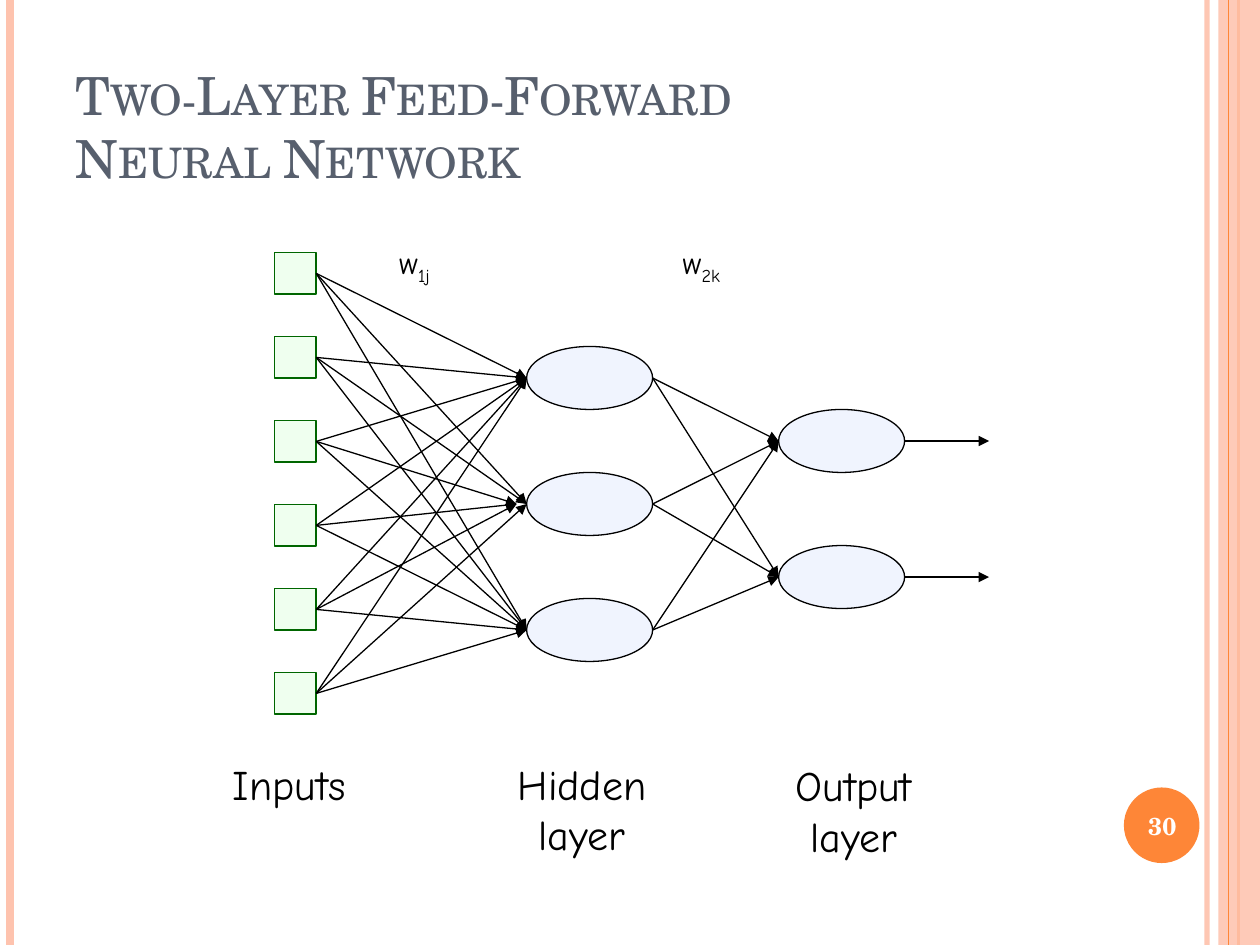
from itertools import product
from lxml.etree import SubElement as Sub
from pptx import Presentation
from pptx.dml.color import RGBColor as RGB
from pptx.enum.shapes import MSO_CONNECTOR as Link, MSO_SHAPE as Kind
from pptx.enum.text import MSO_ANCHOR as Anchor, PP_ALIGN as Align
from pptx.oxml.ns import qn
from pptx.util import Inches, Pt

BLACK = RGB(0, 0, 0)
WHITE = RGB(0xFF, 0xFF, 0xFF)
SLATE = RGB(0x57, 0x5F, 0x6D)
PEACH = RGB(0xFE, 0xC3, 0xAE)
ORANGE = RGB(0xFE, 0x86, 0x37)
MINT = RGB(0xEF, 0xFF, 0xEF)
GREEN = RGB(0, 0x66, 0)
PALE = RGB(0xF0, 0xF4, 0xFE)

TITLE = "Two-Layer Feed-Forward \vNeural Network"
NUMBER = "30"
LABELS = [
    ("Inputs", (1.75, 5.97, 1.23, 0.5), Align.LEFT),
    ("Hidden\nlayer", (3.97, 5.97, 1.3, 0.9), Align.CENTER),
    ("Output\nlayer", (6.12, 5.98, 1.31, 0.9), Align.CENTER),
]
WEIGHTS = [("w", "1j", (3.07, 1.88, 0.52, 0.4)), ("w", "2k", (5.32, 1.88, 0.57, 0.4))]
RULES = [(9.58, PEACH, 3, 93), (0.08, PEACH, 4.5, 100), (9.83, ORANGE, 1.5, 100)]
EDGE = (9.75, ORANGE, 0.75, 100)

INPUT = {"x": 2.18, "w": 0.33, "h": 0.33, "mids": [2.17 + i * 2 / 3 for i in range(6)]}
HIDDEN = {"x": 4.18, "w": 1, "h": 0.5, "mids": [3, 4, 5]}
OUTPUT = {"x": 6.18, "w": 1, "h": 0.5, "mids": [3.5, 4.58]}
SHORT = {(2, 1), (3, 1), (4, 1)}
SANS = {"name": "Comic Neue", "size": Pt(24)}
SERIF = {"name": "TeX Gyre Schola"}

deck = Presentation()
deck.slide_width, deck.slide_height = Inches(10), Inches(7.5)
slide = deck.slides.add_slide(deck.slide_layouts[6])
shapes = slide.shapes


def fade(part, alpha):
    if alpha < 100:
        color = next(part.iter(qn("a:srgbClr")))
        Sub(color, qn("a:alpha"), val=str(alpha * 1000))


def draw(kind, box, fill, edge=None, alpha=100):
    shape = shapes.add_shape(kind, *map(Inches, box))
    shape.shadow.inherit = False
    shape.fill.solid()
    shape.fill.fore_color.rgb = fill
    fade(shape.fill._xPr, alpha)
    if edge is None:
        shape.line.fill.background()
    else:
        shape.line.color.rgb = edge
        shape.line.width = Pt(0.75)


def join(start, end, color=BLACK, width=0.75, alpha=100, arrow=False):
    line = shapes.add_connector(Link.STRAIGHT, *map(Inches, start + end))
    line.line.color.rgb = color
    line.line.width = Pt(width)
    props = line._element.spPr
    fade(props, alpha)
    if arrow:
        Sub(props.find(qn("a:ln")), qn("a:tailEnd"), type="triangle")
    Sub(props, qn("a:effectLst"))


def style(run, look, color):
    for key, value in look.items():
        setattr(run.font, key, value)
    run.font.color.rgb = color


def write(text, box, look, color=BLACK, align=Align.LEFT, anchor=Anchor.TOP, wrap=False):
    frame = shapes.add_textbox(*map(Inches, box)).text_frame
    frame.text = text
    frame.word_wrap = wrap
    frame.vertical_anchor = anchor
    for para in frame.paragraphs:
        para.alignment = align
        for run in para.runs:
            style(run, look, color)
    return frame


def layer(kind, spot, fill, edge):
    for mid in spot["mids"]:
        draw(kind, (spot["x"], mid - spot["h"] / 2, spot["w"], spot["h"]), fill, edge)


def mesh(left, right, short=()):
    pairs = product(enumerate(left["mids"]), enumerate(right["mids"]))
    for (i, top), (j, end) in pairs:
        gap = 0.08 if (i, j) in short else 0
        join((left["x"] + left["w"], top), (right["x"] - gap, end), arrow=True)


def rule(x, color, width, alpha):
    join((x, 0), (x, 7.5), color, width, alpha)


for item in RULES:
    rule(*item)
draw(Kind.RECTANGLE, (9.67, 0, 0.33, 7.5), PEACH, alpha=87)
rule(*EDGE)
draw(Kind.OVAL, (8.92, 6.25, 0.6, 0.6), ORANGE)

head = write(TITLE, (0.5, 0.3, 8.17, 1.25), {**SERIF, "size": Pt(30)}, SLATE,
             anchor=Anchor.BOTTOM, wrap=True)
for run in head.paragraphs[0].runs:
    run.font._element.set("cap", "small")
write(NUMBER, (8.89, 6.27, 0.67, 0.57), {**SERIF, "size": Pt(14), "bold": True}, WHITE,
      Align.CENTER, Anchor.MIDDLE, True)

layer(Kind.OVAL, HIDDEN, PALE, BLACK)
layer(Kind.OVAL, OUTPUT, PALE, BLACK)
layer(Kind.RECTANGLE, INPUT, MINT, GREEN)
mesh(INPUT, HIDDEN, SHORT)
mesh(HIDDEN, OUTPUT)
for mid in OUTPUT["mids"]:
    join((7.18, mid), (7.85, mid), arrow=True)

for text, box, align in LABELS:
    write(text, box, SANS, align=align)
for base, index, box in WEIGHTS:
    look = {**SANS, "size": Pt(18)}
    sub = write(base, box, look).paragraphs[0].add_run()
    sub.text = index
    style(sub, look, BLACK)
    sub.font._element.set("baseline", "-25000")

deck.save("out.pptx")
